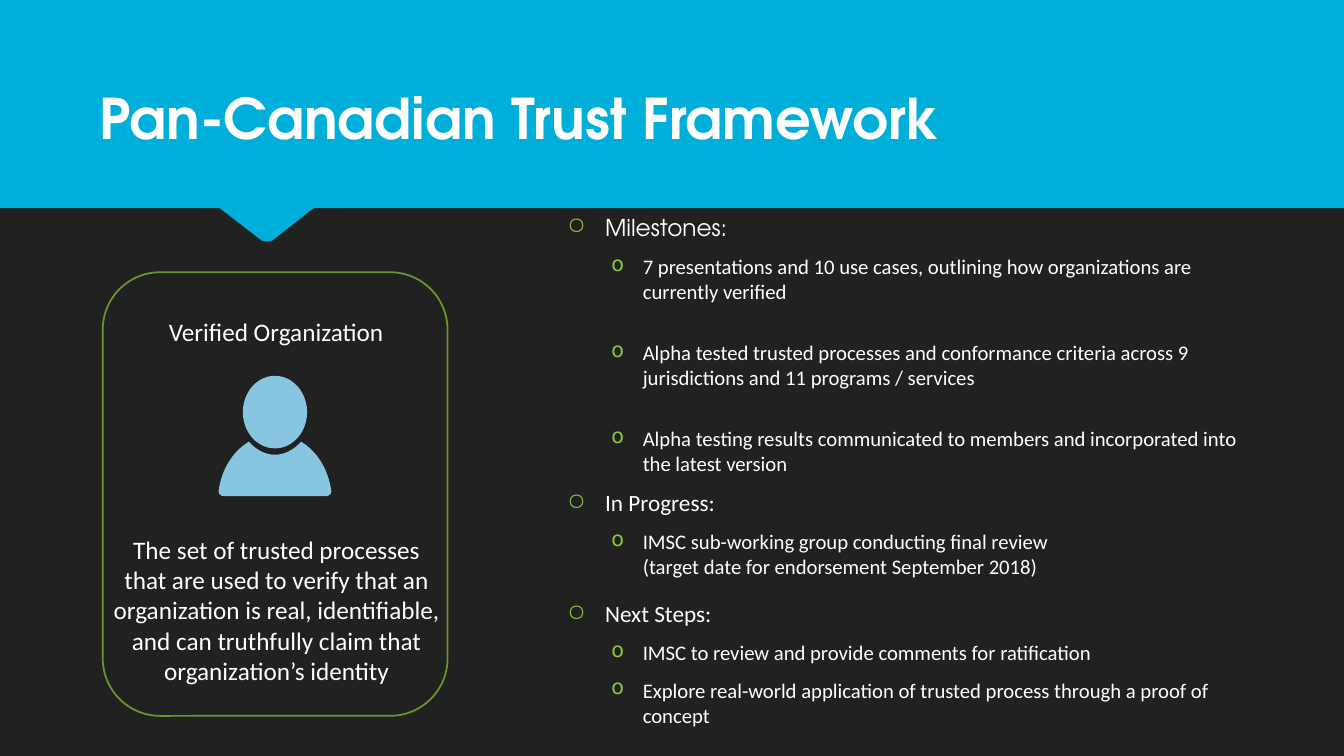
from lxml import etree
from pptx import Presentation
from pptx.dml.color import RGBColor
from pptx.enum.shapes import MSO_SHAPE
from pptx.enum.text import MSO_ANCHOR, PP_ALIGN
from pptx.oxml.ns import qn
from pptx.util import Cm, Pt

OVAL, ROUNDED = MSO_SHAPE.OVAL, MSO_SHAPE.ROUNDED_RECTANGLE
TOP, MIDDLE, BOTTOM = MSO_ANCHOR.TOP, MSO_ANCHOR.MIDDLE, MSO_ANCHOR.BOTTOM
LEFT, CENTER = PP_ALIGN.LEFT, PP_ALIGN.CENTER

TITLE = "Pan-Canadian Trust Framework"
CARD_HEADING = "Verified Organization"
CARD_TEXT = (
    "The set of trusted processes that are used to verify that an organization is real, "
    "identifiable, and can truthfully claim that organization’s identity"
)
# Heading, format of the heading, points above each later item, items
SECTIONS = [
    ("Milestones:", {"font": "TeX Gyre Adventor", "before": 0}, 20, [
        "7 presentations and 10 use cases, outlining how organizations are currently verified",
        "Alpha tested trusted processes and conformance criteria across 9 jurisdictions "
        "and 11 programs / services",
        "Alpha testing results communicated to members and incorporated into the latest version",
    ]),
    ("In Progress:", {}, 3, [
        "IMSC sub-working group conducting final review\v"
        "(target date for endorsement September 2018)",
    ]),
    ("Next Steps:", {"line_spacing": 1.3}, 3, [
        "IMSC to review and provide comments for ratification",
        "Explore real-world application of trusted process through a proof of concept",
    ]),
]

THEME = {
    "background": "212121", "banner": "00AEDA", "frame": "69972C", "bullet": "8CC63E",
    "person": "87C5E1", "title": "FEFEFE", "text": "FFFFFF", "shadow": "000000",
    "title_font": "TeX Gyre Adventor", "body_font": "Calibri",
    "title_size": 40, "card_size": 18, "heading_size": 16.6, "item_size": 14.8,
}

BANNER = [(0, 0), (0, 5.23), (5.54, 5.23), (6.6, 6.05), (6.68, 6.07), (6.77, 6.07),
          (6.86, 6.05), (7.9, 5.23), (33.87, 5.23), (33.87, 0)]
PERSON_AXIS = 6.93
# Right half of the shoulders: a start point, then curves, with x from the axis
SHOULDER_START = (1.3, 12.5)
SHOULDER_CURVES = [
    ((1.35, 12.5), (1.37, 12.47), (1.4, 12.45)),
    ((1.42, 12.42), (1.42, 12.4), (1.42, 12.37)),
    ((1.35, 11.84), (1.07, 11.38), (0.66, 11.13)),
    ((0.48, 11.33), (0.25, 11.46), (0, 11.46)),
]
CURVE_STEPS = 10


def color(name):
    return RGBColor.from_string(THEME[name])


def style(shape, fill=None, line=None, width=0.75):
    shape.shadow.inherit = False
    if fill:
        shape.fill.solid()
        shape.fill.fore_color.rgb = color(fill)
    else:
        shape.fill.background()
    if line:
        shape.line.color.rgb = color(line)
        shape.line.width = Pt(width)
    else:
        shape.line.fill.background()


def add_polygon(slide, points, **look):
    corners = [(Cm(x), Cm(y)) for x, y in points]
    builder = slide.shapes.build_freeform(*corners[0])
    builder.add_line_segments(corners[1:], close=True)
    style(builder.convert_to_shape(), **look)


def add_preset(slide, kind, box, **look):
    style(slide.shapes.add_shape(kind, *map(Cm, box)), **look)


def add_text_frame(slide, box, anchor):
    frame = slide.shapes.add_textbox(*map(Cm, box)).text_frame
    frame.word_wrap = True
    frame.vertical_anchor = anchor
    return frame


def add_text_shadow(run):
    effects = etree.Element(qn("a:effectLst"))
    shadow = etree.SubElement(effects, qn("a:outerShdw"),
                              blurRad="38100", dist="25400", dir="2700000", algn="tl")
    black = etree.SubElement(shadow, qn("a:srgbClr"), val=THEME["shadow"])
    etree.SubElement(black, qn("a:alpha"), val="50000")
    run.font.fill._xPr.find(qn("a:solidFill")).addnext(effects)


def add_bullet(paragraph, character, margin, hanging):
    properties = paragraph._p.get_or_add_pPr()
    properties.set("marL", str(Cm(margin)))
    properties.set("indent", str(-Cm(hanging)))
    tint = etree.SubElement(properties, qn("a:buClr"))
    etree.SubElement(tint, qn("a:srgbClr"), val=THEME["bullet"])
    etree.SubElement(properties, qn("a:buChar"), char=character)


def write(frame, text, size, font=THEME["body_font"], ink="text", bold=False, align=LEFT,
          before=0, after=0, line_spacing=1.0, bullet=None, shadow=False):
    """Write into the empty first paragraph, or add one after the others."""
    first = frame.paragraphs[0]
    paragraph = frame.add_paragraph() if first.runs else first
    paragraph.text = text
    paragraph.alignment = align
    paragraph.line_spacing = line_spacing
    paragraph.space_before, paragraph.space_after = Pt(before), Pt(after)
    if bullet:
        add_bullet(paragraph, *bullet)
    for run in paragraph.runs:
        run.font.name, run.font.size, run.font.bold = font, Pt(size), bold
        run.font.color.rgb = color(ink)
        if shadow:
            add_text_shadow(run)


def add_person(slide):
    half = [SHOULDER_START]
    for first, second, end in SHOULDER_CURVES:
        start = half[-1]
        for step in range(1, CURVE_STEPS + 1):
            t = step / CURVE_STEPS
            weights = ((1 - t) ** 3, 3 * t * (1 - t) ** 2, 3 * t * t * (1 - t), t ** 3)
            knots = (start, first, second, end)
            half.append(tuple(sum(w * knot[axis] for w, knot in zip(weights, knots))
                              for axis in (0, 1)))
    right = [(PERSON_AXIS + x, y) for x, y in half]
    left = [(PERSON_AXIS - x, y) for x, y in reversed(half[:-1])]
    add_polygon(slide, right + left, fill="person")
    add_preset(slide, OVAL, (PERSON_AXIS - 0.81, 9.47, 1.62, 1.83), fill="person")


def add_card(slide):
    add_preset(slide, ROUNDED, (2.59, 6.86, 8.69, 11.18), line="frame", width=1.25)
    add_person(slide)
    for text, box in ((CARD_HEADING, (3.3, 7.85, 7.32, 1.02)),
                      (CARD_TEXT, (2.54, 13.31, 8.86, 4.11))):
        write(add_text_frame(slide, box, MIDDLE), text, THEME["card_size"], align=CENTER)


def add_sections(slide):
    frame = add_text_frame(slide, (14.05, 5.38, 17.55, 13.4), TOP)
    frame.margin_top = frame.margin_bottom = 0
    for heading, heading_format, gap, items in SECTIONS:
        write(frame, heading, THEME["heading_size"], shadow=True,
              **{"before": 3, "after": 6, "bullet": ("○", 0.95, 0.95), **heading_format})
        for index, item in enumerate(items):
            write(frame, item, THEME["item_size"], before=gap if index else 3, after=6,
                  bullet=("o", 1.9, 0.79), shadow=True)


def main():
    presentation = Presentation()
    presentation.slide_width, presentation.slide_height = Cm(33.87), Cm(19.05)
    slide = presentation.slides.add_slide(presentation.slide_layouts[6])
    slide.background.fill.solid()
    slide.background.fill.fore_color.rgb = color("background")
    add_polygon(slide, BANNER, fill="banner", line="banner")
    write(add_text_frame(slide, (2.26, 1.24, 29.36, 2.69), BOTTOM), TITLE,
          THEME["title_size"], font=THEME["title_font"], ink="title", bold=True, shadow=True)
    add_sections(slide)
    add_card(slide)
    presentation.save("out.pptx")


if __name__ == "__main__":
    main()
